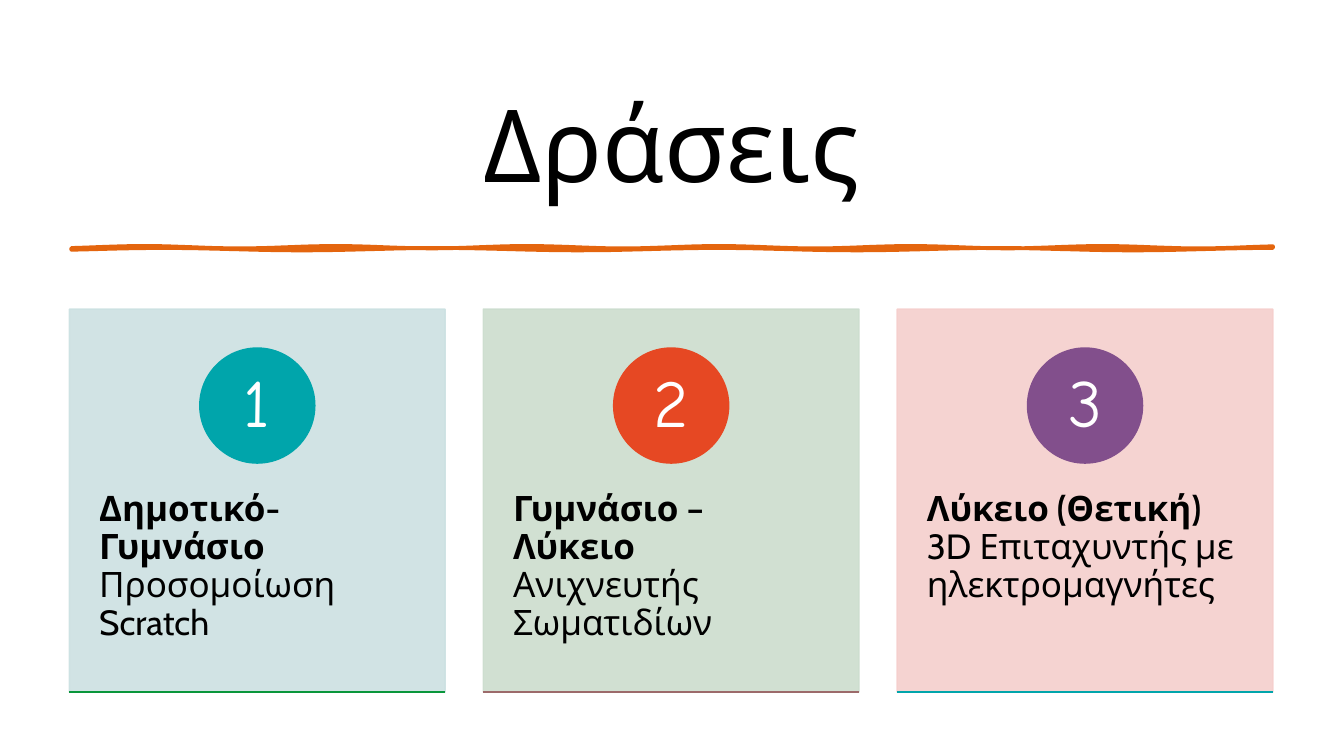
import math

import pptx
import pptx.dml.color
import pptx.enum.shapes
import pptx.enum.text
import pptx.oxml.ns
import pptx.oxml.xmlchemy
import pptx.util

Cm = pptx.util.Cm
ALIGN = pptx.enum.text.PP_ALIGN
ANCHOR = pptx.enum.text.MSO_ANCHOR
SHAPE = pptx.enum.shapes.MSO_SHAPE
new_element = pptx.oxml.xmlchemy.OxmlElement


def paint(shape, color, line_width, opacity=100):
    """Give a shape one colour for fill and outline."""
    shape.shadow.inherit = False
    shape.line.width = pptx.util.Pt(line_width)
    for part in (shape.fill, shape.line.fill):
        part.solid()
        part.fore_color.rgb = pptx.dml.color.RGBColor.from_string(color)
    if opacity < 100:
        for solid in shape._element.spPr.iter(pptx.oxml.ns.qn("a:srgbClr")):
            alpha = new_element("a:alpha")
            alpha.set("val", str(opacity * 1000))
            solid.append(alpha)


def write(paragraph, text, size, font="Cabin", color="000000", bold=False,
          align=ALIGN.LEFT, spacing=0.9):
    paragraph.alignment = align
    paragraph.line_spacing = spacing
    run = paragraph.add_run()
    run.text = text
    run.font.size = pptx.util.Pt(size)
    run.font.name = font
    run.font.bold = bold
    run.font.color.rgb = pptx.dml.color.RGBColor.from_string(color)


presentation = pptx.Presentation()
presentation.slide_width = Cm(33.87)
presentation.slide_height = Cm(19.05)
slide = presentation.slides.add_slide(presentation.slide_layouts[5])
LEFT, CONTENT_WIDTH = 1.75, 30.33

# Title
title = slide.shapes.title
title.left, title.top = Cm(LEFT), Cm(1.75)
title.width, title.height = Cm(CONTENT_WIDTH), Cm(3.66)
title.text_frame.auto_size = pptx.enum.text.MSO_AUTO_SIZE.NONE
title.text_frame.vertical_anchor = ANCHOR.MIDDLE
write(title.text_frame.paragraphs[0], "Δράσεις", 72, align=ALIGN.CENTER, spacing=1.0)

# Hand-drawn rule: two gently waving edges
STEPS = 120
upper_edge, lower_edge = [], []
for step in range(STEPS + 1):
    x = LEFT + 0.05 + (CONTENT_WIDTH - 0.05) * step / STEPS
    upper_edge.append((Cm(x), Cm(6.23 + 0.03 * math.sin(1.3 * x))))
    lower_edge.append((Cm(x), Cm(6.28 + 0.03 * math.sin(0.9 * x + 1))))
outline = upper_edge + lower_edge[::-1]
builder = slide.shapes.build_freeform(*outline[0])
builder.add_line_segments(outline[1:], close=True)
paint(builder.convert_to_shape(), "E4650E", 2.75)

# Activity cards: school level, activity, card, badge and base line colours
activities = [
    ("Δημοτικό- Γυμνάσιο", "Προσομοίωση Scratch", "CCE1E2", "00A5AB", "09963B"),
    ("Γυμνάσιο – Λύκειο", "Ανιχνευτής Σωματιδίων", "CCDDCE", "E64823", "9C6A6A"),
    ("Λύκειο (Θετική)", "3D Επιταχυντής με ηλεκτρομαγνήτες", "F5CFCD", "824F8C", "00A5AB"),
]
CARD_TOP, CARD_WIDTH, CARD_HEIGHT = 7.79, 9.47, 9.65
CARD_STEP = (CONTENT_WIDTH - CARD_WIDTH) / (len(activities) - 1)
BADGE_SIZE = 2.9

for index, (level, activity, card_color, badge_color, base_color) in enumerate(activities):
    card_left = LEFT + index * CARD_STEP

    card = slide.shapes.add_shape(SHAPE.RECTANGLE, Cm(card_left), Cm(CARD_TOP),
                                  Cm(CARD_WIDTH), Cm(CARD_HEIGHT))
    paint(card, card_color, 1, opacity=90)
    card_text = card.text_frame
    card_text.word_wrap = True
    card_text.vertical_anchor = ANCHOR.TOP
    card_text.margin_left = card_text.margin_right = Cm(0.75)
    card_text.margin_top, card_text.margin_bottom = Cm(4.6), Cm(1.12)
    description = card_text.paragraphs[0]
    write(description, level, 25, bold=True)
    description.add_line_break()
    write(description, activity, 25)

    badge = slide.shapes.add_shape(SHAPE.OVAL, Cm(card_left + (CARD_WIDTH - BADGE_SIZE) / 2),
                                   Cm(8.77), Cm(BADGE_SIZE), Cm(BADGE_SIZE))
    paint(badge, badge_color, 1)
    badge_text = badge.text_frame
    badge_text.word_wrap = False
    badge_text.vertical_anchor = ANCHOR.MIDDLE
    badge_text.margin_left = badge_text.margin_right = 0
    badge_text.margin_top = badge_text.margin_bottom = 0
    write(badge_text.paragraphs[0], str(index + 1), 48, font="Comic Neue",
          color="FFFFFF", align=ALIGN.CENTER)

    base_y = Cm(CARD_TOP + CARD_HEIGHT)
    base = slide.shapes.add_connector(pptx.enum.shapes.MSO_CONNECTOR.STRAIGHT, Cm(card_left),
                                      base_y, Cm(card_left + CARD_WIDTH), base_y)
    base.line.width = pptx.util.Pt(1)
    base.line.color.rgb = pptx.dml.color.RGBColor.from_string(base_color)
    base._element.spPr.append(new_element("a:effectLst"))

presentation.save("out.pptx")
